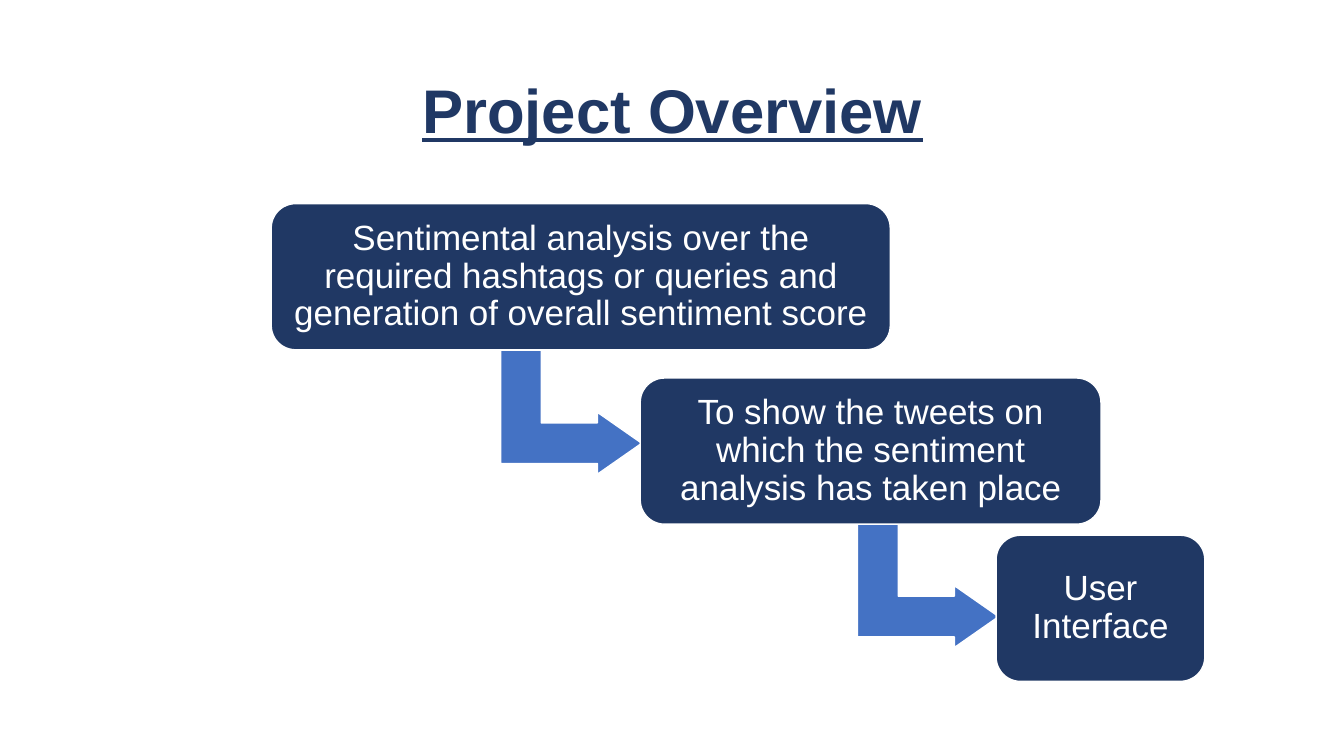
from pptx import Presentation
from pptx.dml.color import RGBColor
from pptx.enum import shapes, text
from pptx.util import Inches, Pt

NAVY, BLUE, WHITE = "203864", "4472C4", "FFFFFF"
STEP_HEIGHT = 1.45
STEPS = [
    (2.69, 2.02, 6.14, "Sentimental analysis over the required hashtags or queries "
                       "and generation of overall sentiment score"),
    (6.35, 3.75, 4.57, "To show the tweets on which the sentiment analysis has taken place"),
    (9.88, 5.31, 2.07, "User Interface"),
]
ARROWS = [(5.05, 3.39), (8.59, 5.11)]


def rgb(value):
    """Turn a hex string into a colour."""
    return RGBColor.from_string(value)


def write(tf, words, size, color, bold=None, underline=None):
    """Write one centred paragraph, anchored in the middle."""
    tf.word_wrap = True
    tf.auto_size = text.MSO_AUTO_SIZE.NONE
    tf.vertical_anchor = text.MSO_ANCHOR.MIDDLE
    p = tf.paragraphs[0]
    p.alignment = text.PP_ALIGN.CENTER
    p.line_spacing = 0.9
    r = p.add_run()
    r.text = words
    r.font.name, r.font.size = "Arial", Pt(size)
    r.font.bold, r.font.underline = bold, underline
    r.font.color.rgb = rgb(color)


def add_title(s, words):
    """Place and fill the title placeholder."""
    sp = s.shapes.title
    sp.left, sp.top = Inches(0.92), Inches(0.4)
    sp.width, sp.height = Inches(11.5), Inches(1.45)
    write(sp.text_frame, words, 44, NAVY, bold=True, underline=True)


def add_shape(s, kind, left, top, width, height, fill, adjustments):
    """Add a filled preset shape with a thin white outline."""
    sp = s.shapes.add_shape(kind, Inches(left), Inches(top), Inches(width), Inches(height))
    sp.shadow.inherit = False
    sp.fill.solid()
    sp.fill.fore_color.rgb = rgb(fill)
    sp.line.color.rgb = rgb(WHITE)
    sp.line.width = Pt(1)
    for i, value in enumerate(adjustments):
        sp.adjustments[i] = value
    return sp


def add_arrow(s, left, top):
    """Add a bent arrow leading down and right to the next step."""
    sp = add_shape(s, shapes.MSO_SHAPE.BENT_UP_ARROW, left, top, 1.23, 1.4,
                   BLUE, (0.328, 0.25, 0.358))
    sp.rotation = 90


def add_step(s, left, top, width, words):
    """Add a rounded box holding one step."""
    sp = add_shape(s, shapes.MSO_SHAPE.ROUNDED_RECTANGLE, left, top, width,
                   STEP_HEIGHT, NAVY, (0.167,))
    tf = sp.text_frame
    tf.margin_left = tf.margin_right = tf.margin_top = tf.margin_bottom = Inches(0.1)
    write(tf, words, 25, WHITE)


def main():
    """Build the slide and save it."""
    prs = Presentation()
    prs.slide_width, prs.slide_height = Inches(13.33), Inches(7.5)
    s = prs.slides.add_slide(prs.slide_layouts[5])
    add_title(s, "Project Overview")
    for arrow in ARROWS:
        add_arrow(s, *arrow)
    for step in STEPS:
        add_step(s, *step)
    prs.save("out.pptx")


if __name__ == "__main__":
    main()
